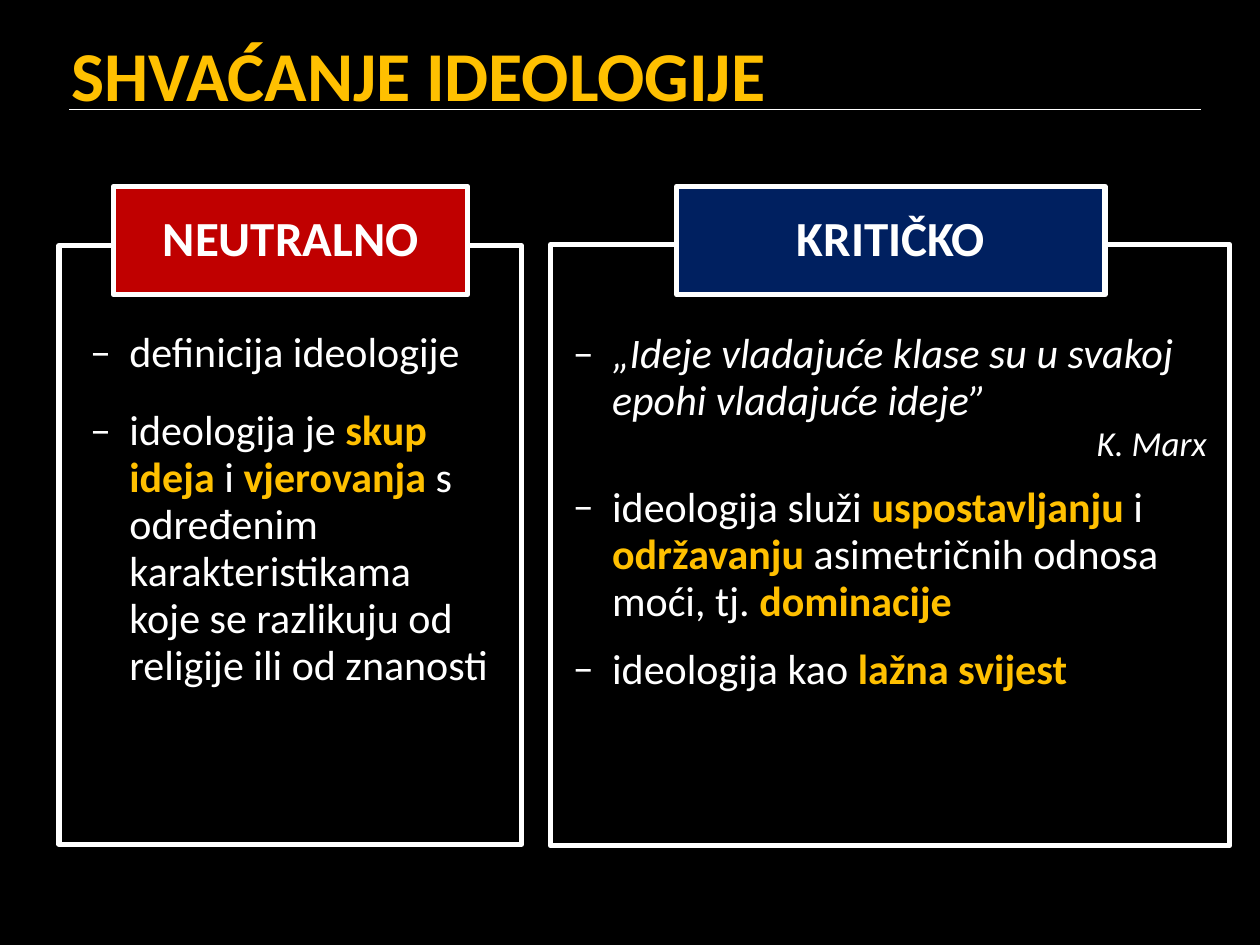
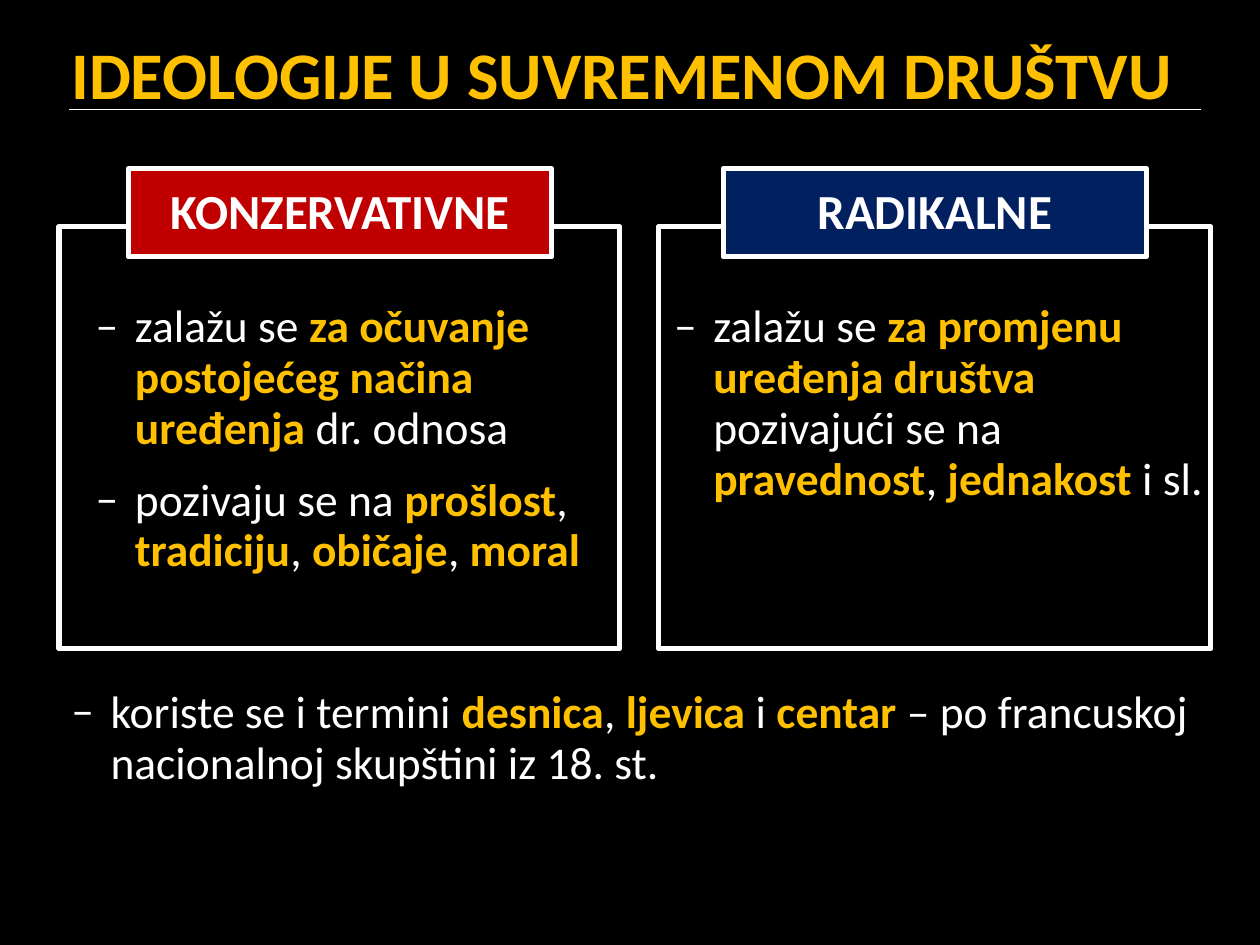
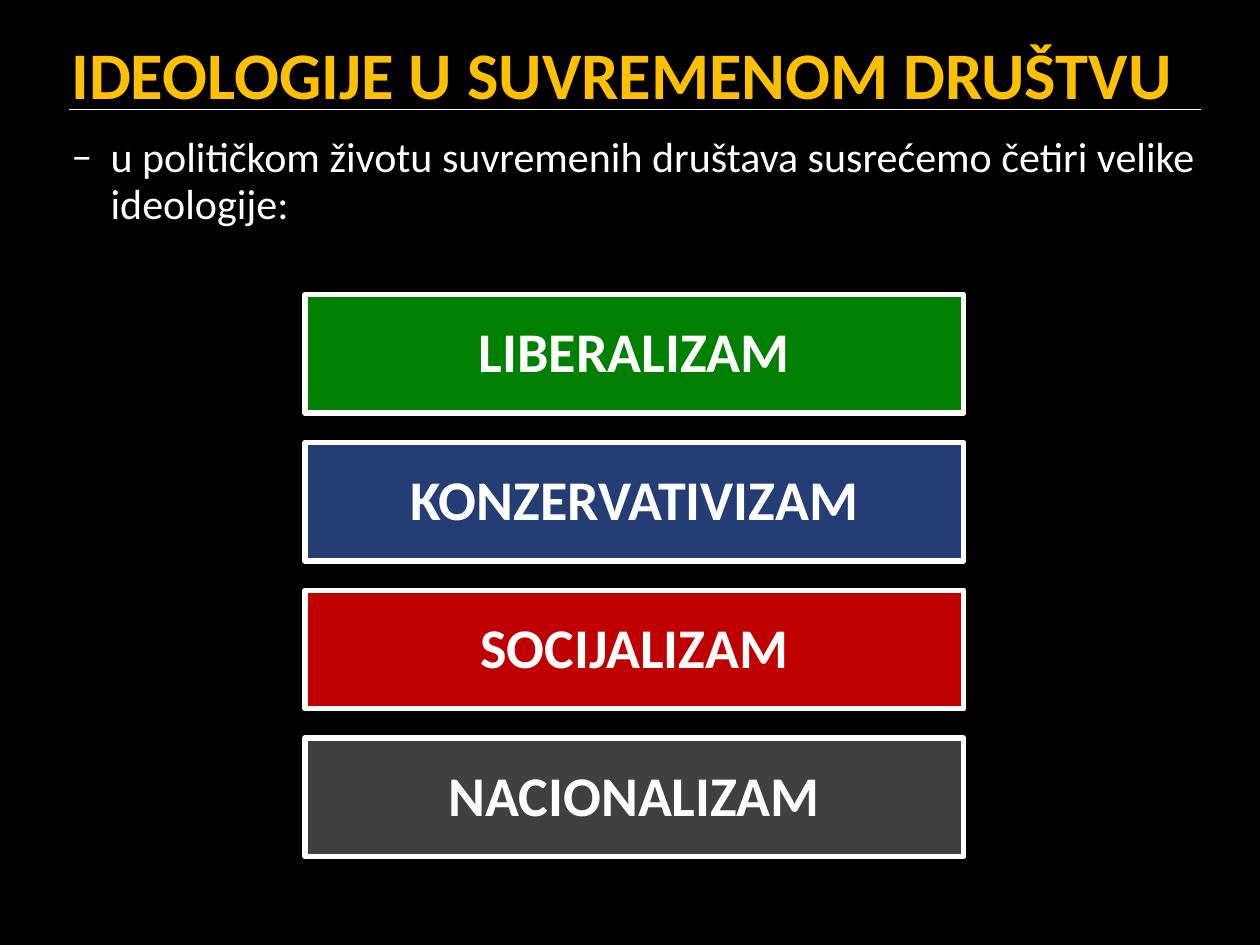
from lxml import etree
from pptx import Presentation
from pptx.dml.color import RGBColor
from pptx.enum.shapes import MSO_CONNECTOR, MSO_SHAPE
from pptx.enum.text import MSO_ANCHOR, MSO_AUTO_SIZE, PP_ALIGN
from pptx.oxml.ns import qn
from pptx.util import Cm, Pt

RECT = MSO_SHAPE.RECTANGLE
STRAIGHT = MSO_CONNECTOR.STRAIGHT
MIDDLE = MSO_ANCHOR.MIDDLE
GROW = MSO_AUTO_SIZE.SHAPE_TO_FIT_TEXT
CENTER = PP_ALIGN.CENTER
RIGHT = PP_ALIGN.RIGHT

BLACK = "000000"
WHITE = "FFFFFF"
GOLD = "FFC000"
RED = "C00000"
NAVY = "002060"
BLUE = "253D75"
GREEN = "008000"
GRAY = "404040"
FACE = "Calibri"
DENSE = 0.93


def paint(target, color):
    target.rgb = RGBColor.from_string(color)


def add_run(para, text, size, color=WHITE, bold=False, italic=False):
    run = para.add_run()
    run.text = text
    font = run.font
    font.name = FACE
    font.size = Pt(size)
    font.bold = bold
    font.italic = italic
    paint(font.color, color)


def add_slide(deck, title, size):
    slide = deck.slides.add_slide(deck.slide_layouts[6])
    fill = slide.background.fill
    fill.solid()
    paint(fill.fore_color, BLACK)
    rule = slide.shapes.add_connector(
        STRAIGHT, Cm(1.4), Cm(2.21), Cm(24.21), Cm(2.21))
    paint(rule.line.color, WHITE)
    rule.line.width = Pt(1)
    etree.SubElement(rule._element.spPr, qn("a:effectLst"))
    frame = add_box(slide, 1.19, 0.56, 24.82, 1.83)
    frame.vertical_anchor = MIDDLE
    add_run(frame.paragraphs[0], title, size, GOLD, True)
    return slide


def add_box(slide, left, top, width, height):
    box = slide.shapes.add_textbox(Cm(left), Cm(top), Cm(width), Cm(height))
    frame = box.text_frame
    frame.word_wrap = True
    return frame


def add_frame(slide, left, top, width, height):
    shape = slide.shapes.add_shape(
        RECT, Cm(left), Cm(top), Cm(width), Cm(height))
    shape.shadow.inherit = False
    shape.fill.background()
    paint(shape.line.color, WHITE)
    shape.line.width = Pt(3)
    return shape


def add_label(slide, left, top, width, height, text, color, size=28):
    shape = add_frame(slide, left, top, width, height)
    shape.fill.solid()
    paint(shape.fill.fore_color, color)
    frame = shape.text_frame
    frame.vertical_anchor = MIDDLE
    para = frame.paragraphs[0]
    para.alignment = CENTER
    para.line_spacing = DENSE
    add_run(para, text, size, bold=True)


def add_dash(para):
    props = para._p.get_or_add_pPr()
    props.set("marL", str(Cm(0.79)))
    props.set("indent", str(-Cm(0.79)))
    color = etree.SubElement(props, qn("a:buClr"))
    etree.SubElement(color, qn("a:srgbClr"), val=WHITE)
    etree.SubElement(props, qn("a:buFont"), typeface=FACE)
    etree.SubElement(props, qn("a:buChar"), char="–")


def add_item(frame, text, size, gap=0, italic=False):
    first = not frame.paragraphs[0].runs
    para = frame.paragraphs[0] if first else frame.add_paragraph()
    para.line_spacing = DENSE
    para.space_before = Pt(gap)
    add_dash(para)
    for i, part in enumerate(text.split("*")):
        if part:
            strong = i % 2 == 1
            add_run(para, part, size, GOLD if strong else WHITE,
                    strong, italic)


def add_credit(frame, text):
    para = frame.add_paragraph()
    para.alignment = RIGHT
    para.line_spacing = DENSE
    add_run(para, text, 20, italic=True)


def add_list(slide, left, top, width, height, items, size, gap=12):
    frame = add_box(slide, left, top, width, height)
    frame.auto_size = GROW
    for i, text in enumerate(items):
        add_item(frame, text, size, gap if i else 0)


def add_views(deck):
    slide = add_slide(deck, "SHVAĆANJE IDEOLOGIJE", 40)
    add_frame(slide, 11.1, 4.93, 13.69, 12.12)
    add_frame(slide, 1.19, 4.95, 9.32, 12.07)
    add_label(slide, 2.29, 3.76, 7.14, 2.18, "NEUTRALNO", RED)
    add_label(slide, 13.64, 3.76, 8.64, 2.18, "KRITIČKO", NAVY)
    frame = add_box(slide, 11.3, 6.55, 13.28, 8.13)
    frame.auto_size = GROW
    add_item(frame, "„Ideje vladajuće klase su u svakoj epohi "
             "vladajuće ideje”", 24, italic=True)
    add_credit(frame, "K. Marx")
    add_item(frame, "ideologija služi *uspostavljanju* i *održavanju* "
             "asimetričnih odnosa moći, tj. *dominacije*", 24, 12)
    add_item(frame, "ideologija kao *lažna svijest*", 24, 12)
    add_list(slide, 1.57, 6.53, 8.53, 8.53, [
        "definicija ideologije",
        "ideologija je *skup ideja *i *vjerovanja* s određenim "
        "karakteristikama koje se razlikuju od religije ili od znanosti",
    ], 24, 18)


def add_sides(deck):
    slide = add_slide(deck, "IDEOLOGIJE U SUVREMENOM DRUŠTVU", 38)
    add_frame(slide, 13.28, 4.57, 11.13, 8.51)
    add_frame(slide, 1.19, 4.57, 11.3, 8.51)
    add_list(slide, 13.34, 5.97, 11.51, 4.39, [
        "zalažu se *za promjenu uređenja društva *pozivajući se na "
        "*pravednost*, *jednakost* i sl.",
    ], 26)
    add_list(slide, 1.68, 5.97, 10.31, 5.84, [
        "zalažu se *za očuvanje postojećeg načina uređenja* dr. odnosa",
        "pozivaju se na *prošlost*, *tradiciju*, *običaje*, *moral*",
    ], 26)
    add_label(slide, 2.59, 3.4, 8.53, 1.78, "KONZERVATIVNE", RED)
    add_label(slide, 14.58, 3.4, 8.53, 1.78, "RADIKALNE", NAVY)
    add_list(slide, 1.19, 13.74, 23.62, 2.31, [
        "koriste se i termini *desnica*, *ljevica* i *centar* – po "
        "francuskoj nacionalnoj skupštini iz 18. st.",
    ], 26)


def add_kinds(deck):
    slide = add_slide(deck, "IDEOLOGIJE U SUVREMENOM DRUŠTVU", 38)
    kinds = [("LIBERALIZAM", GREEN), ("KONZERVATIVIZAM", BLUE),
             ("SOCIJALIZAM", RED), ("NACIONALIZAM", GRAY)]
    for i, (name, color) in enumerate(kinds):
        add_label(slide, 6.15, 5.94 + 2.98 * i, 13.28, 2.39, name, color, 32)
    add_list(slide, 1.19, 2.59, 23.83, 2.16, [
        "u političkom životu suvremenih društava susrećemo četiri velike "
        "ideologije:",
    ], 24)


def main():
    deck = Presentation()
    deck.slide_width = Cm(25.4)
    deck.slide_height = Cm(19.05)
    add_views(deck)
    add_sides(deck)
    add_kinds(deck)
    deck.save("out.pptx")


if __name__ == "__main__":
    main()
